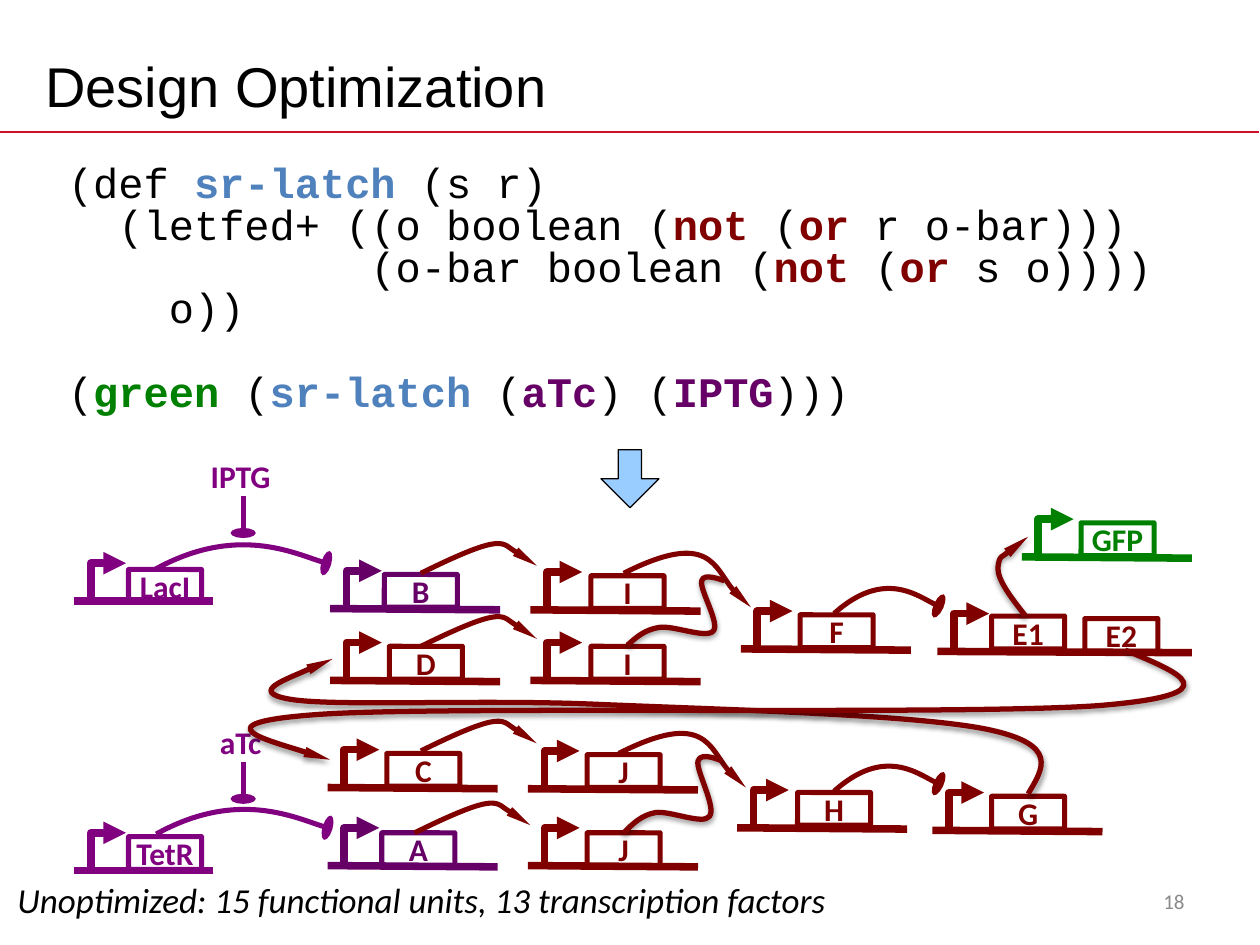
"""Build the Design Optimization slide: latch code above its genetic circuit."""
from dataclasses import dataclass

from lxml import etree
from pptx import Presentation
from pptx.dml.color import RGBColor
from pptx.enum.shapes import MSO_CONNECTOR, MSO_SHAPE
from pptx.enum.text import MSO_ANCHOR, PP_ALIGN
from pptx.oxml.ns import qn
from pptx.util import Pt

PX = 9144
STRAIGHT = MSO_CONNECTOR.STRAIGHT
BOX, DOWN = MSO_SHAPE.ROUNDED_RECTANGLE, MSO_SHAPE.DOWN_ARROW
MIDDLE = MSO_ANCHOR.MIDDLE
LEFT, CENTER, RIGHT = PP_ALIGN.LEFT, PP_ALIGN.CENTER, PP_ALIGN.RIGHT


@dataclass(frozen=True)
class Theme:
    black: str = "000000"
    rule: str = "CE1126"
    blue: str = "4F81BD"
    sky: str = "99CCFF"
    red: str = "800000"
    green: str = "008000"
    plum: str = "660066"
    purple: str = "800080"
    grey: str = "898989"
    title: int = 32
    code: int = 24
    note: int = 20
    label: int = 18
    number: int = 12
    thick: float = 4.31
    thin: float = 2.89
    wire: float = 3


T = Theme()
ENDS = {
    "promoter": ("triangle", "med", "med"),
    "arrow": ("triangle", "sm", "lg"),
    "knob": ("oval", "lg", "sm"),
}


def write(p, text, size=T.label, color=T.black, font="Calibri", bold=False, italic=False, align=None):
    r = p.add_run()
    r.text = text
    r.font.name, r.font.size = font, Pt(size)
    r.font.bold, r.font.italic = bold, italic
    r.font.color.rgb = RGBColor.from_string(color)
    if align is not None:
        p.alignment = align


def stroke(sp, color, width, end=None, shadow=False):
    sp.line.color.rgb = RGBColor.from_string(color)
    sp.line.width = Pt(width)
    spPr = sp.element.spPr
    if end:
        kind, w, length = ENDS[end]
        etree.SubElement(spPr.find(qn("a:ln")), qn("a:tailEnd"), type=kind, w=w, len=length)
    effects = etree.SubElement(spPr, qn("a:effectLst"))
    if shadow:
        outer = etree.SubElement(effects, qn("a:outerShdw"), blurRad=str(Pt(3.1)),
                                 dist=str(Pt(1.6)), dir="5400000", rotWithShape="0")
        shade = etree.SubElement(outer, qn("a:srgbClr"), val=T.black)
        etree.SubElement(shade, qn("a:alpha"), val="38000")


prs = Presentation()
prs.slide_width, prs.slide_height = 1000 * PX, 750 * PX
s = prs.slides.add_slide(prs.slide_layouts[5])

rule = s.shapes.add_connector(STRAIGHT, 0, 105 * PX, 999 * PX, 105 * PX)
stroke(rule, T.rule, 1)

title = s.shapes.title
title.left, title.top, title.width, title.height = 26 * PX, 30 * PX, 900 * PX, 75 * PX
title.text_frame.vertical_anchor = MIDDLE
write(title.text_frame.paragraphs[0], "Design Optimization", size=T.title, font="Arial", align=LEFT)

CODE = [
    [("(def ", T.black), ("sr-latch ", T.blue), ("(s r)", T.black)],
    [("  (letfed+ ((o boolean (", T.black), ("not ", T.red), ("(", T.black),
     ("or ", T.red), ("r o-bar)))", T.black)],
    [("            (o-bar boolean (", T.black), ("not ", T.red), ("(", T.black),
     ("or ", T.red), ("s o))))", T.black)],
    [("    o))", T.black)],
    [("(", T.black), ("green ", T.green), ("(", T.black), ("sr-latch ", T.blue), ("(", T.black),
     ("aTc", T.plum), (") (", T.black), ("IPTG", T.plum), (")))", T.black)],
]
tf = s.shapes.add_textbox(45 * PX, 122 * PX, 897 * PX, 223 * PX).text_frame
tf.word_wrap = True
tf.margin_left = tf.margin_top = tf.margin_right = 9 * PX
tf.margin_bottom = 4 * PX
for i, line in enumerate(CODE):
    p = tf.add_paragraph() if i else tf.paragraphs[0]
    p.line_spacing = 0.83
    for text, color in line:
        write(p, text, size=T.code, color=color, font="Courier New", bold=color != T.black)
p.space_before = Pt(23.8)

sp = s.shapes.add_shape(DOWN, 477 * PX, 357 * PX, 46 * PX, 46 * PX)
sp.adjustments[0], sp.adjustments[1] = 0.4, 0.5
sp.fill.solid()
sp.fill.fore_color.rgb = RGBColor.from_string(T.sky)
stroke(sp, T.black, 0.75)

# x, y of the promoter corner, colour, strand length and rise, boxes as (label, dx, dy)
GENES = [
    (72, 447, T.purple, 110, 0, [("LacI", 30, 5)]),
    (72, 661, T.purple, 110, 0, [("TetR", 30, 3)]),
    (275, 453, T.plum, 135, 1, [("B", 30, 3)]),
    (273, 657, T.plum, 135, 1, [("A", 30, 4)]),
    (275, 510, T.red, 135, 1, [("D", 34, 3)]),
    (273, 595, T.red, 135, 1, [("C", 34, 3)]),
    (434, 454, T.red, 135, 1, [("I", 35, 3)]),
    (434, 510, T.red, 135, 1, [("I", 35, 3)]),
    (432, 596, T.red, 135, 1, [("J", 34, 3)]),
    (432, 657, T.red, 135, 1, [("J", 34, 4)]),
    (601, 485, T.red, 135, 1, [("F", 34, 3)]),
    (598, 627, T.red, 135, 1, [("H", 35, 2)]),
    (757, 487, T.red, 202, 1, [("E1", 30, 2), ("E2", 104, 4)]),
    (753, 629, T.red, 135, 1, [("G", 34, 3)]),
    (824, 412, T.green, 135, 1, [("GFP", 34, 3)]),
]
for x, y, color, length, rise, boxes in GENES:
    gene = s.shapes.add_group_shape().shapes
    strand = gene.add_connector(STRAIGHT, (x - 13) * PX, (y + 30) * PX,
                                (x - 13 + length) * PX, (y + 30 + rise) * PX)
    stroke(strand, color, T.thick)
    builder = gene.build_freeform(x, y + 28, scale=PX)
    builder.add_line_segments([(x, y), (x + 28, y)], close=False)
    promoter = builder.convert_to_shape()
    promoter.fill.background()
    stroke(promoter, color, T.thick, "promoter")
    for label, dx, dy in boxes:
        sp = gene.add_shape(BOX, (x + dx) * PX, (y + dy) * PX, 58 * PX, 26 * PX)
        sp.adjustments[0] = 0.01
        sp.fill.background()
        stroke(sp, color, T.thin)
        tf = sp.text_frame
        tf.margin_left = tf.margin_top = tf.margin_right = tf.margin_bottom = 0
        tf.vertical_anchor = MIDDLE
        write(tf.paragraphs[0], label, color=color, bold=True, align=CENTER)

for label, top in (("IPTG", 363), ("aTc", 574)):
    tf = s.shapes.add_textbox(151 * PX, top * PX, 80 * PX, 34 * PX).text_frame
    tf.word_wrap = True
    tf.margin_left = tf.margin_top = tf.margin_right = tf.margin_bottom = 0
    write(tf.paragraphs[0], label, color=T.purple, bold=True, align=CENTER)
    stem = s.shapes.add_connector(STRAIGHT, 193 * PX, (top + 31) * PX, 193 * PX, (top + 60) * PX)
    stroke(stem, T.purple, T.thin, "knob")

ARCS = [
    ([(124, 662), (123, 452)], [(65, -36), (114, -11), (136, -5)], T.purple, "knob"),
    ([(491, 598), (495, 455)], [(69, -35), (81, 15), (101, 27)], T.red, "arrow"),
    ([(662, 628), (662, 487)], [(40, -36), (70, -11), (83, -6)], T.red, "knob"),
    ([(334, 455), (334, 513), (334, 596), (329, 661)], [(69, -34), (72, -18), (92, -6)],
     T.red, "arrow"),
]
WIRES = [
    ([(498, 512), (505, 506), (511, 500), (523, 498), (534, 496), (560, 507), (566, 501),
      (572, 495), (555, 468), (557, 461), (558, 454), (575, 461), (575, 461)], None),
    ([(495, 661), (502, 654), (509, 647), (520, 645), (531, 643), (558, 655), (563, 648),
      (569, 641), (552, 611), (554, 604), (556, 596), (573, 604), (573, 604)], None),
    ([(816, 630), (828, 610), (841, 591), (784, 579), (727, 567), (566, 563), (473, 559),
      (381, 555), (265, 561), (230, 555), (196, 549), (264, 523), (264, 523)], "arrow"),
    ([(893, 516), (936, 534), (980, 551), (873, 560), (767, 568), (356, 560), (254, 567),
      (152, 574), (262, 603), (262, 603)], "arrow"),
    ([(814, 489), (803, 475), (792, 461), (792, 451), (793, 440), (816, 426), (816, 426)], "arrow"),
]
curves = [([(x, y)] + [(x + dx, y + dy) for dx, dy in steps], color, T.thin, end, False)
          for starts, steps, color, end in ARCS for x, y in starts]
curves += [(points, T.red, T.wire, end, True) for points, end in WIRES]
for points, color, width, end, shadow in curves:
    builder = s.shapes.build_freeform(*points[0], scale=PX)
    builder.add_line_segments(points[1:], close=False)
    sp = builder.convert_to_shape()
    segments = list(sp.element.iter(qn("a:lnTo")))
    for i in range(0, len(segments), 3):
        bezier = etree.Element(qn("a:cubicBezTo"))
        segments[i].addprevious(bezier)
        for segment in segments[i:i + 3]:
            bezier.append(segment[0])
            segment.getparent().remove(segment)
    sp.fill.background()
    stroke(sp, color, width, end, shadow)

tf = s.shapes.add_textbox(4 * PX, 692 * PX, 751 * PX, 44 * PX).text_frame
tf.word_wrap = True
write(tf.paragraphs[0], "Unoptimized: 15 functional units, 13 transcription factors",
      size=T.note, italic=True)

tf = s.shapes.add_textbox(717 * PX, 695 * PX, 233 * PX, 40 * PX).text_frame
tf.word_wrap = True
tf.vertical_anchor = MIDDLE
write(tf.paragraphs[0], "18", size=T.number, color=T.grey, align=RIGHT)

prs.save("out.pptx")
